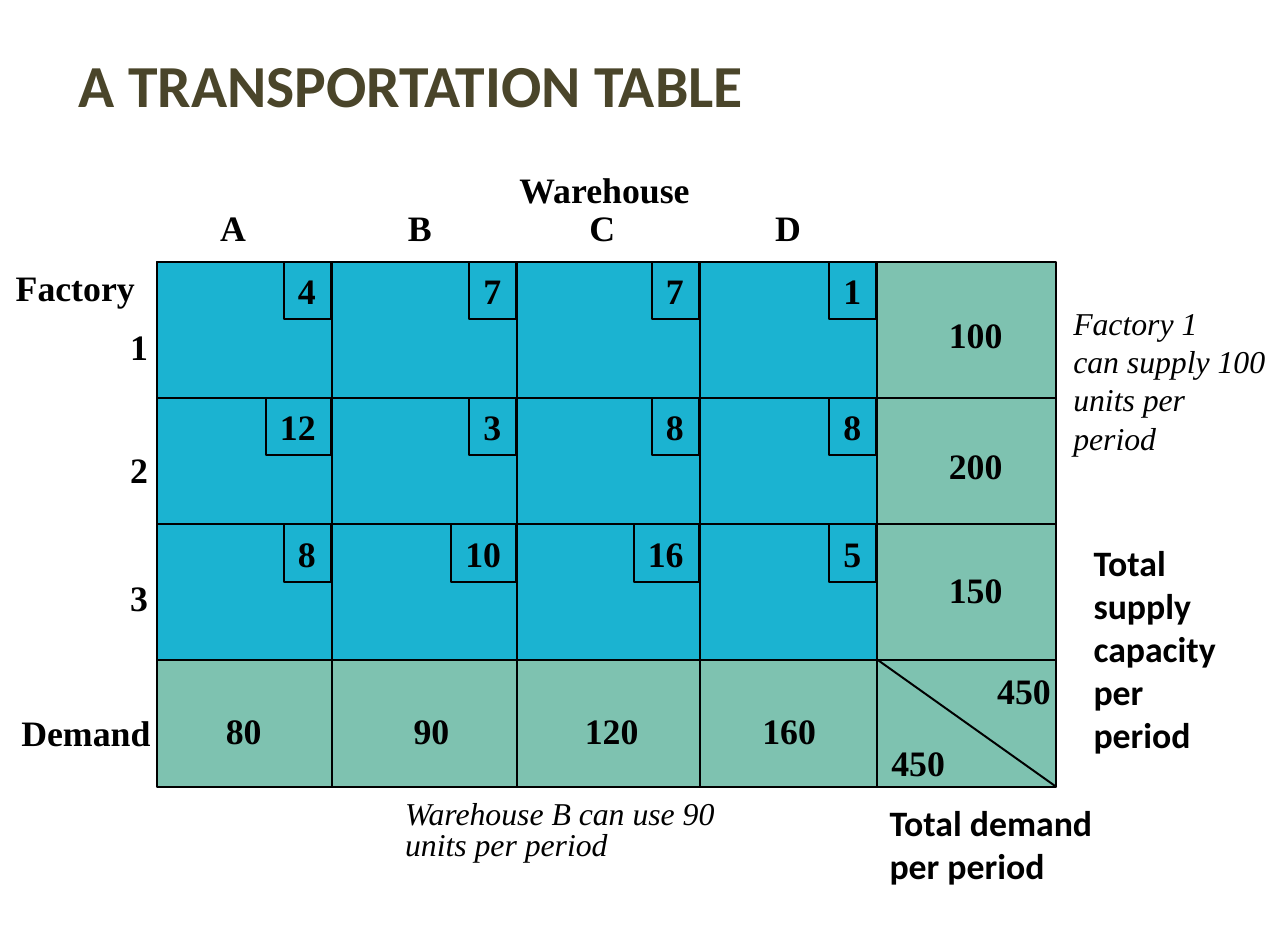
from pptx import Presentation
from pptx.dml.color import RGBColor
from pptx.enum.shapes import MSO_CONNECTOR, MSO_SHAPE
from pptx.enum.text import MSO_ANCHOR, MSO_AUTO_SIZE, PP_ALIGN
from pptx.oxml.ns import qn
from pptx.util import Cm, Pt
from lxml import etree
from dataclasses import dataclass


@dataclass(frozen=True)
class Theme:
    title: RGBColor = RGBColor(0x4A, 0x45, 0x2A)
    ink: RGBColor = RGBColor(0, 0, 0)
    totals: RGBColor = RGBColor(0x7E, 0xC2, 0xB0)
    routes: RGBColor = RGBColor(0x1B, 0xB3, 0xD1)
    title_size: Pt = Pt(30)
    label_size: Pt = Pt(18)
    note_size: Pt = Pt(16)
    line_width: Pt = Pt(1)


theme = Theme()
TITLE = {"name": "Calibri", "size": theme.title_size, "bold": True}
LABEL = {"name": "Times New Roman", "size": theme.label_size, "bold": True}
NOTE = {"name": "Times New Roman", "size": theme.note_size, "italic": True}
TOTAL = {"name": "Calibri", "size": theme.label_size, "bold": True}

column_edges = [2.79, 5.89, 9.18, 12.42, 15.57, 18.75]
row_edges = [4.65, 7.06, 9.31, 11.71, 13.97]
left, right = column_edges[0], column_edges[-1]
top, bottom = row_edges[0], row_edges[-1]
digit_widths = {1: 0.83, 2: 1.15, 3: 1.48}
label_height = 1.02


def write(shape, text, style, color=theme.ink, wrap=False, spacing=None):
    """Fill a shape with one paragraph per line of text, left aligned."""
    frame = shape.text_frame
    frame.text = text
    frame.word_wrap = wrap
    frame.auto_size = MSO_AUTO_SIZE.SHAPE_TO_FIT_TEXT
    frame.vertical_anchor = MSO_ANCHOR.TOP
    for paragraph in frame.paragraphs:
        paragraph.alignment = PP_ALIGN.LEFT
        paragraph.line_spacing = spacing
        for run in paragraph.runs:
            for name, value in style.items():
                setattr(run.font, name, value)
            run.font.color.rgb = color


def add_box(x, y, width, height, fill=None):
    """Add an outlined rectangle, hollow when no fill is given."""
    box = slide.shapes.add_shape(MSO_SHAPE.RECTANGLE, Cm(x), Cm(y), Cm(width), Cm(height))
    box.shadow.inherit = False
    if fill is None:
        box.fill.background()
    else:
        box.fill.solid()
        box.fill.fore_color.rgb = fill
    box.line.color.rgb = theme.ink
    box.line.width = theme.line_width
    return box


presentation = Presentation()
presentation.slide_width = Cm(22.86)
presentation.slide_height = Cm(16.51)
slide = presentation.slides.add_slide(presentation.slide_layouts[5])

title = slide.shapes.title
title.left, title.top, title.width, title.height = Cm(1.14), Cm(0.62), Cm(18.67), Cm(1.73)
write(title, "A TRANSPORTATION TABLE", TITLE, theme.title, wrap=True)
title.text_frame.auto_size = MSO_AUTO_SIZE.NONE
title.text_frame.vertical_anchor = MSO_ANCHOR.MIDDLE

# Table areas and grid lines
table_area = add_box(left, top, right - left, bottom - top, theme.totals)
route_area = add_box(left, top, column_edges[4] - left, row_edges[3] - top, theme.routes)

grid_lines = [(left, y, right, y) for y in row_edges[1:-1]]
grid_lines += [(x, top, x, bottom) for x in column_edges[1:-1]]
grid_lines.append((column_edges[4], row_edges[3], right, bottom))
connectors = []
for ends in grid_lines:
    connector = slide.shapes.add_connector(MSO_CONNECTOR.STRAIGHT, *map(Cm, ends))
    connector.line.color.rgb = theme.ink
    connector.line.width = theme.line_width
    etree.SubElement(connector._element.spPr, qn("a:effectLst"))
    connectors.append(connector)
middle_row, middle_column = connectors[1], connectors[4]
middle_row.begin_connect(table_area, 1)
middle_row.end_connect(table_area, 3)
middle_column.begin_connect(route_area, 0)

# Unit costs sit in the top right corner of each route cell
costs = [[4, 7, 7, 1], [12, 3, 8, 8], [8, 10, 16, 5]]
for row_top, row_costs in zip(row_edges, costs):
    for cell_right, cost in zip(column_edges[1:], row_costs):
        width = digit_widths[len(str(cost))]
        box = add_box(cell_right - 0.02 - width, row_top, width, label_height)
        write(box, str(cost), LABEL)

# Labels: text, left, top, width
labels = [
    ("Warehouse", 8.97, 2.86, 3.6),
    ("Factory", 0.03, 4.6, 2.64),
    ("Demand", 0.13, 12.5, 2.85),
    ("450", 17.45, 11.75, digit_widths[3]),
    ("450", 15.57, 13.03, digit_widths[3]),
]
for name, x in zip("ABCD", (3.66, 6.99, 10.21, 13.51)):
    labels.append((name, x, 3.53, 0.98))
for demand, x in zip(("80", "90", "120", "160"), (3.76, 7.09, 10.13, 13.28)):
    labels.append((demand, x, 12.46, digit_widths[len(demand)]))
for supply, y in zip(("100", "200", "150"), (5.43, 7.76, 9.95)):
    labels.append((supply, 16.59, y, digit_widths[len(supply)]))
for factory, y in zip("123", (5.64, 7.82, 10.1)):
    labels.append((factory, 2.06, y, digit_widths[1]))
for text, x, y, width in labels:
    label = slide.shapes.add_textbox(Cm(x), Cm(y), Cm(width), Cm(label_height))
    write(label, text, LABEL)

# Notes: text, left, top, width, height, style, wrap, line spacing
notes = [
    ("Factory 1\ncan supply 100\nunits per period", 18.8, 5.27, 4.06, 2.95, NOTE, True, None),
    ("Total supply\ncapacity per\nperiod", 19.16, 9.48, 3.23, 4.06, TOTAL, True, None),
    ("Total demand\nper period", 15.54, 14.1, 4.17, 1.78, TOTAL, False, None),
    ("Warehouse B can use 90\nunits per period", 6.94, 14.1, 6.22, 1.32, NOTE, False, 0.8),
]
for text, x, y, width, height, style, wrap, spacing in notes:
    note = slide.shapes.add_textbox(Cm(x), Cm(y), Cm(width), Cm(height))
    write(note, text, style, wrap=wrap, spacing=spacing)

presentation.save("out.pptx")
